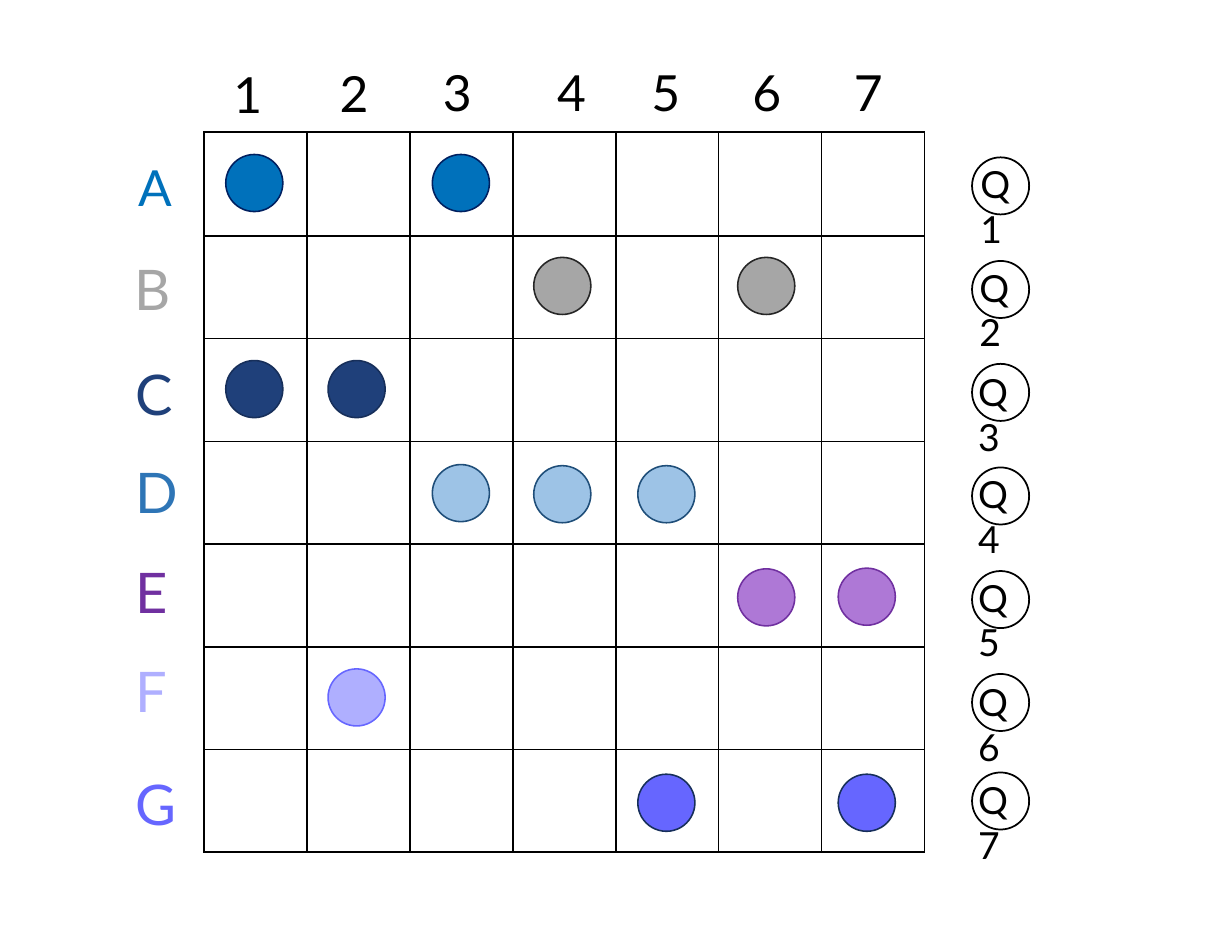
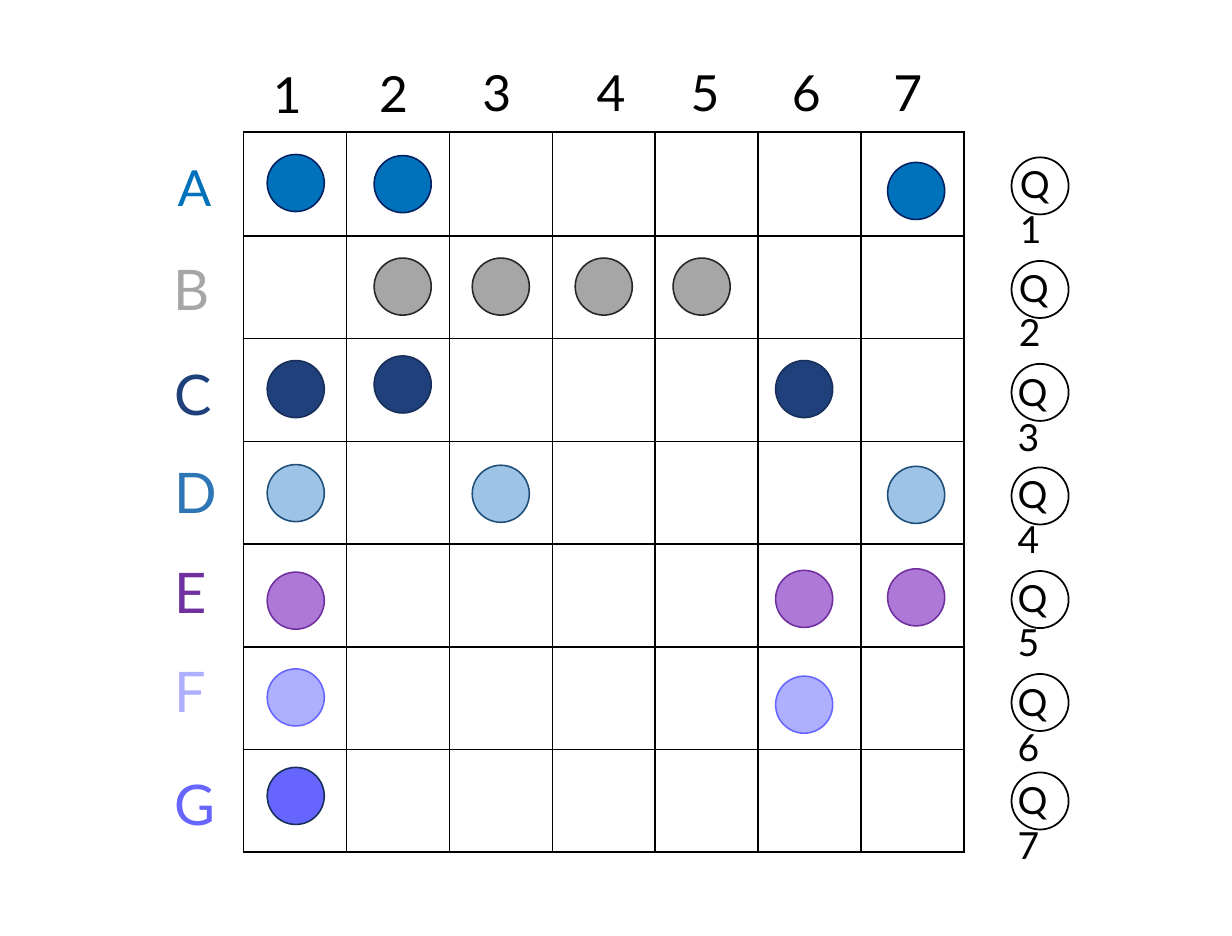
from lxml import etree
from pptx import Presentation
from pptx import util as u
from pptx.dml import color
from pptx.enum import shapes, text
from pptx.oxml import ns

FONT = "Lato"
BLACK, WHITE = "000000", "FFFFFF"
DOT_SIZE = 2.59
CELL_WIDTH, CELL_HEIGHT, FIRST_ROW_HEIGHT = 4.67, 4.66, 4.72
GRID_LEFT, GRID_TOP = 9.25, 5.99
QUEUE_LEFT = 44.09
COUNT = 7

# Column numbers: left, top
NUMBERS = [(10.34, 2.74), (15.16, 2.69), (19.84, 2.64), (25.02, 2.64),
           (29.29, 2.64), (33.88, 2.64), (38.48, 2.64)]

# Row letters: left, top, width, height, size, colour
LETTERS = {
    "A": (6.02, 6.93, 1.91, 3.0, 64, "0071BB"),
    "B": (5.84, 11.38, 2.24, 3.33, 72, "A6A6A6"),
    "C": (5.89, 16.15, 2.16, 3.33, 72, "1F407A"),
    "D": (5.89, 20.62, 2.24, 3.33, 72, "2E75B6"),
    "E": (5.89, 25.15, 2.06, 3.33, 72, "7030A0"),
    "F": (5.89, 29.64, 2.01, 3.33, 72, "AFAFFF"),
    "G": (5.89, 34.77, 2.18, 3.33, 72, "6666FF"),
}

# Dot colours by row: fill, line
DOT_COLOURS = {
    "A": ("0071BB", "002060"), "B": ("A6A6A6", "262626"),
    "C": ("1F407A", "172F5A"), "D": ("9DC3E6", "1F4E79"),
    "E": ("AE78D6", "7030A0"), "F": ("AFAFFF", "6666FF"),
    "G": ("6666FF", "172F5A"),
}

# Q markers: circle top, label top, label left
QUEUE = [(7.14, 7.21, 44.22), (11.84, 11.89, 44.17), (16.51, 16.64, 44.12),
         (21.21, 21.26, 44.12), (25.91, 25.96, 44.12), (30.58, 30.71, 44.12),
         (35.05, 35.13, 44.12)]

# Each slide: shift of the whole board, dot lefts by column,
# and for each row the marked columns with their dot tops
BOARDS = [
    {"shift": 0,
     "columns": [10.24, 14.88, 19.61, 24.21, 28.93, 33.46, 38.02],
     "dots": {"A": {1: 7.01, 3: 7.01},
              "B": {4: 11.68, 6: 11.68},
              "C": {1: 16.36, 2: 16.36},
              "D": {3: 21.08, 4: 21.13, 5: 21.13},
              "E": {6: 25.81, 7: 25.78},
              "F": {2: 30.35},
              "G": {5: 35.13, 7: 35.13}}},
    {"shift": 1.79,
     "columns": [12.12, 16.97, 21.42, 26.09, 30.53, 35.18, 40.26],
     "dots": {"A": {1: 7.01, 2: 7.06, 7: 7.37},
              "B": {2: 11.71, 3: 11.71, 4: 11.71, 5: 11.71},
              "C": {1: 16.36, 2: 16.15, 6: 16.36},
              "D": {1: 21.08, 3: 21.11, 7: 21.16},
              "E": {1: 25.96, 6: 25.88, 7: 25.81},
              "F": {1: 30.35, 6: 30.68},
              "G": {1: 34.82}}},
]

LABEL_FORMAT = {"word_wrap": False, "vertical_anchor": text.MSO_ANCHOR.BOTTOM,
                "auto_size": text.MSO_AUTO_SIZE.SHAPE_TO_FIT_TEXT}
QUEUE_FORMAT = {"word_wrap": True, "vertical_anchor": text.MSO_ANCHOR.TOP,
                "auto_size": text.MSO_AUTO_SIZE.NONE}

rgb = color.RGBColor.from_string


def add_dot(slide, left, top, fill, line, line_width):
    shape = slide.shapes.add_shape(shapes.MSO_SHAPE.OVAL, u.Cm(left), u.Cm(top),
                                   u.Cm(DOT_SIZE), u.Cm(DOT_SIZE))
    shape.shadow.inherit = False
    shape.fill.solid()
    shape.fill.fore_color.rgb = rgb(fill)
    shape.line.color.rgb = rgb(line)
    shape.line.width = u.Pt(line_width)


def add_label(slide, words, box, size, colour, frame_format):
    frame = slide.shapes.add_textbox(*[u.Cm(length) for length in box]).text_frame
    for name, value in frame_format.items():
        setattr(frame, name, value)
    paragraph = frame.paragraphs[0]
    run = paragraph.add_run()
    run.text = words
    run.font.color.rgb = rgb(colour)
    for name, value in {"name": FONT, "size": u.Pt(size)}.items():
        setattr(run.font, name, value)


presentation = Presentation()
presentation.slide_width = u.Cm(55.88)
presentation.slide_height = u.Cm(42.47)

for board in BOARDS:
    slide = presentation.slides.add_slide(presentation.slide_layouts[6])
    shift = board["shift"]

    # Grid
    table = slide.shapes.add_table(
        COUNT, COUNT, u.Cm(GRID_LEFT + shift), u.Cm(GRID_TOP),
        u.Cm(COUNT * CELL_WIDTH),
        u.Cm(FIRST_ROW_HEIGHT + (COUNT - 1) * CELL_HEIGHT)).table
    table.first_row = table.horz_banding = False
    for column in table.columns:
        column.width = u.Cm(CELL_WIDTH)
    for index, row in enumerate(table.rows):
        row.height = u.Cm(CELL_HEIGHT if index else FIRST_ROW_HEIGHT)
    for cell in table.iter_cells():
        properties = cell._tc.get_or_add_tcPr()
        for side in ("lnL", "lnR", "lnT", "lnB"):
            border = etree.SubElement(properties, ns.qn("a:" + side),
                                      w=str(u.Pt(2.25)))
            solid = etree.SubElement(border, ns.qn("a:solidFill"))
            etree.SubElement(solid, ns.qn("a:srgbClr"), val=BLACK)
        cell.fill.background()

    # Column numbers and row letters
    for number, (left, top) in enumerate(NUMBERS, 1):
        add_label(slide, str(number), (left + shift, top, 1.7, 3.0), 64, BLACK,
                  LABEL_FORMAT)
    for letter, (left, top, width, height, size, colour) in LETTERS.items():
        add_label(slide, letter, (left + shift, top, width, height), size, colour,
                  LABEL_FORMAT)

    # Dots in the grid
    for letter, marks in board["dots"].items():
        for column, top in marks.items():
            add_dot(slide, board["columns"][column - 1], top,
                    *DOT_COLOURS[letter], 2)

    # Q markers on the right
    for number, (circle_top, label_top, label_left) in enumerate(QUEUE, 1):
        add_dot(slide, QUEUE_LEFT + shift, circle_top, WHITE, BLACK, 2.25)
        add_label(slide, f"Q{number}", (label_left + shift, label_top, 2.51, 2.31),
                  48, BLACK, QUEUE_FORMAT)

presentation.save("out.pptx")
